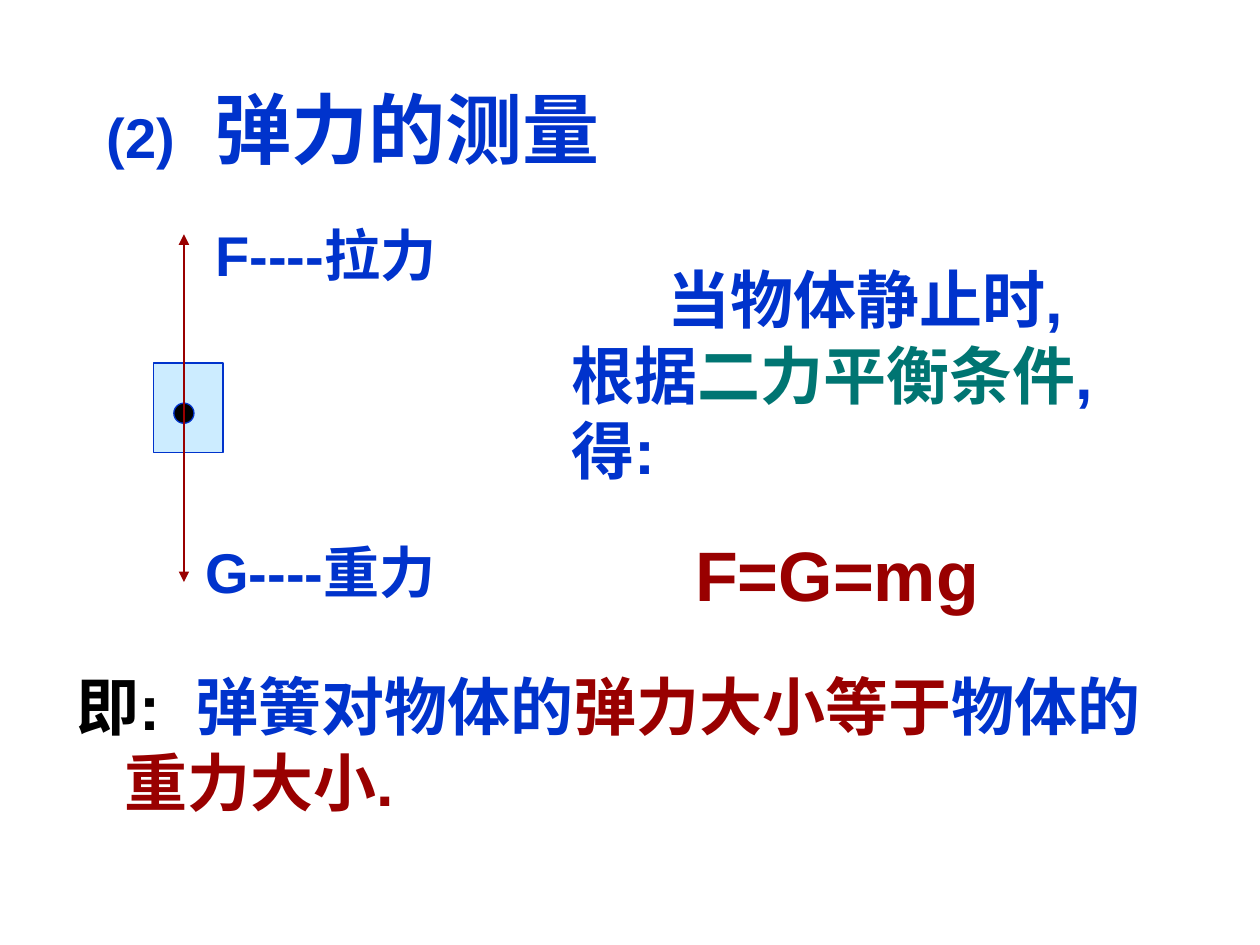
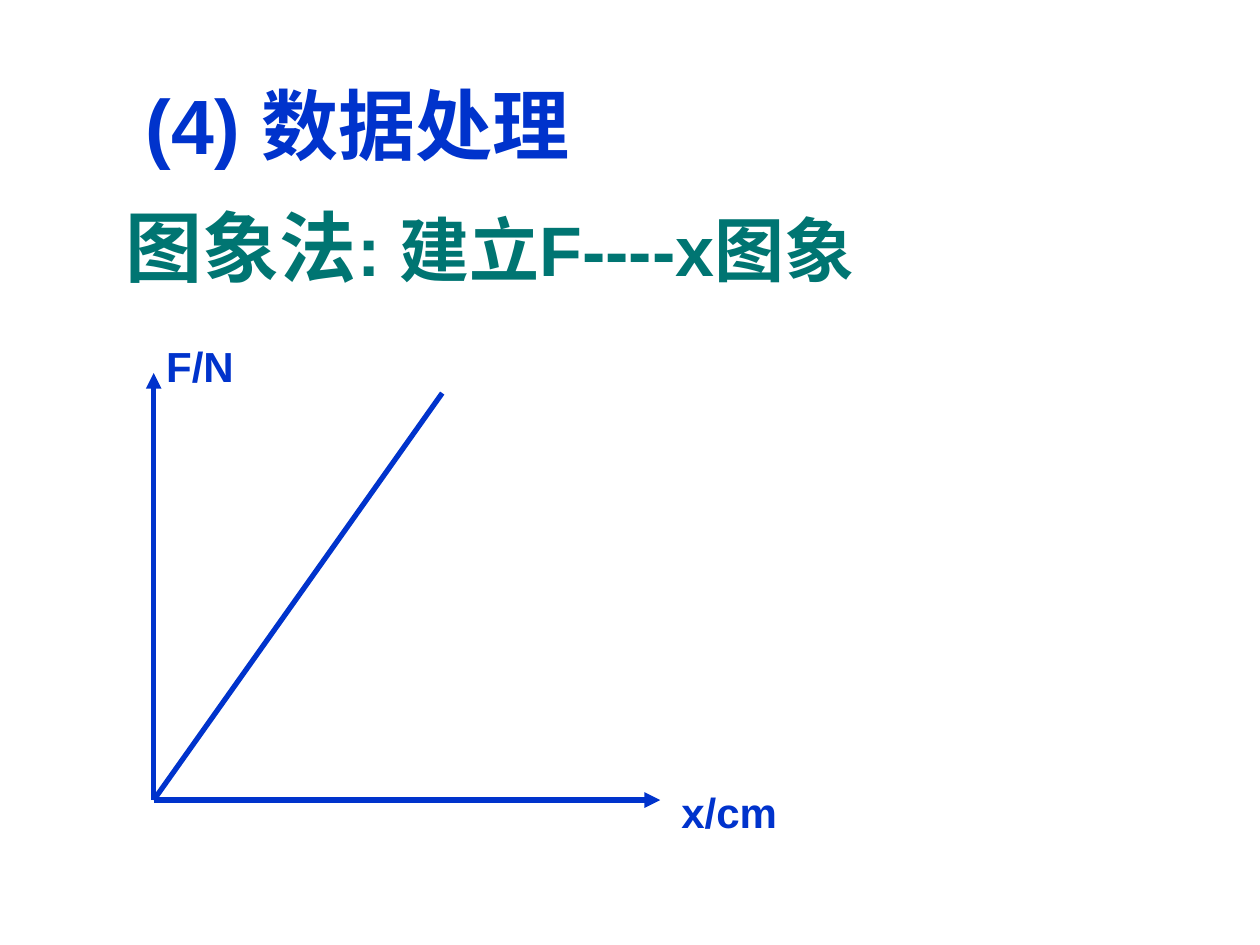
"""Build two slides on measuring elastic force."""
from typing import NamedTuple

from lxml.etree import SubElement
from pptx import Presentation
from pptx.dml.color import RGBColor
from pptx.enum.shapes import MSO_CONNECTOR, MSO_SHAPE
from pptx.enum.text import MSO_ANCHOR
from pptx.oxml.ns import qn
from pptx.slide import Slide
from pptx.util import Pt

PX = 9144
FONT = "Arial"
BLUE = RGBColor(0x00, 0x33, 0xCC)
RED = RGBColor(0x99, 0x00, 0x00)
TEAL = RGBColor(0x00, 0x75, 0x72)
PALE = RGBColor(0xCC, 0xEC, 0xFF)
BLACK = RGBColor(0x00, 0x00, 0x00)
HEAD, LEAD, BODY, NOTE, MARK = 44, 40, 36, 32, 24
HANG = 38


class Box(NamedTuple):
    """A place on the slide in px."""
    left: int
    top: int
    width: int
    height: int


class Bit(NamedTuple):
    """A run of text; gap widens its letters in points."""
    text: str
    size: int
    color: RGBColor = BLUE
    gap: int = 0


class Para(NamedTuple):
    """A paragraph with its indents in px and space before in points."""
    bits: list[Bit]
    margin: int = 0
    indent: int = 0
    before: int = 0
    pitch: float = 1.0


class Label(NamedTuple):
    """A text box."""
    box: Box
    paras: list[Para]
    anchor: MSO_ANCHOR = MSO_ANCHOR.TOP


class Form(NamedTuple):
    """A filled preset shape."""
    kind: MSO_SHAPE
    box: Box
    fill: RGBColor


class Line(NamedTuple):
    """A straight line, with or without an arrowhead at its end."""
    start: tuple[int, int]
    end: tuple[int, int]
    color: RGBColor
    weight: float
    arrow: bool = True


def plain(box: Box, text: str, size: int) -> Label:
    """Return a label of one blue run."""
    return Label(box, [Para([Bit(text, size)])])


def add_label(slide: Slide, label: Label) -> None:
    """Draw a text box run by run."""
    frame = slide.shapes.add_textbox(*(n * PX for n in label.box)).text_frame
    frame.word_wrap = True
    frame.vertical_anchor = label.anchor
    for order, para in enumerate(label.paras):
        block = frame.add_paragraph() if order else frame.paragraphs[0]
        block.space_before = Pt(para.before)
        block.line_spacing = para.pitch
        props = block._p.get_or_add_pPr()
        props.set("marL", str(para.margin * PX))
        props.set("indent", str(para.indent * PX))
        for bit in para.bits:
            run = block.add_run()
            run.text = bit.text
            run.font.name = FONT
            run.font.size = Pt(bit.size)
            run.font.bold = True
            run.font.color.rgb = bit.color
            style = run._r.get_or_add_rPr()
            style.set("lang", "zh-CN")
            if bit.gap:
                style.set("spc", str(bit.gap * 100))


def add_form(slide: Slide, form: Form) -> None:
    """Draw a preset shape with a thin blue edge."""
    shape = slide.shapes.add_shape(form.kind, *(n * PX for n in form.box))
    shape.shadow.inherit = False
    shape.fill.solid()
    shape.fill.fore_color.rgb = form.fill
    shape.line.color.rgb = BLUE
    shape.line.width = Pt(0.75)


def add_line(slide: Slide, line: Line) -> None:
    """Draw a straight line."""
    ends = (n * PX for n in line.start + line.end)
    shape = slide.shapes.add_connector(MSO_CONNECTOR.STRAIGHT, *ends)
    shape.line.color.rgb = line.color
    shape.line.width = Pt(line.weight)
    if line.arrow:
        SubElement(shape.line._get_or_add_ln(), qn("a:tailEnd"), type="triangle")
    SubElement(shape._element.spPr, qn("a:effectLst"))


def draw_force(slide: Slide) -> None:
    """Draw the balance of pull and weight."""
    balance = [
        Para([Bit("当物体静止时, 根据", BODY), Bit("二力平衡条件", BODY, TEAL),
              Bit(", 得:", BODY)], HANG, 76),
        Para([Bit("F=G=mg", LEAD, RED)], 136, 0, 25),
    ]
    result = Para([
        Bit("即:", BODY, BLACK), Bit(" ", BODY, BLACK, 10),
        Bit("弹簧对物体的", BODY), Bit("弹力大小等于", BODY, RED),
        Bit("物体的", BODY), Bit(" ", BODY, BLUE, 10),
        Bit("重力大小.", BODY, RED),
    ], HANG, -HANG)
    title = Para([Bit("(2)", NOTE), Bit(" ", LEAD, BLUE, 11),
                  Bit("弹力的测量", HEAD)])
    for label in (
        plain(Box(161, 170, 220, 64), "F----拉力", NOTE),
        plain(Box(153, 422, 221, 64), "G----重力", NOTE),
        Label(Box(51, 525, 882, 130), [result]),
        Label(Box(406, 202, 498, 292), balance),
        Label(Box(75, 60, 480, 84), [title]),
    ):
        add_label(slide, label)
    add_form(slide, Form(MSO_SHAPE.RECTANGLE, Box(122, 288, 55, 71), PALE))
    add_form(slide, Form(MSO_SHAPE.FLOWCHART_CONNECTOR,
                         Box(138, 320, 16, 16), BLACK))
    for tip in (462, 186):
        add_line(slide, Line((146, 312), (146, tip), RED, 0.75))


def draw_graph(slide: Slide) -> None:
    """Draw the graph of force against stretch."""
    title = Para([Bit("(4) 数据处理", HEAD)])
    method = Para([Bit("图象法", HEAD, TEAL),
                   Bit(": 建立F----x图象", LEAD, TEAL)], HANG, -HANG, 0, 0.9)
    add_label(slide, Label(Box(106, 36, 396, 125), [title], MSO_ANCHOR.MIDDLE))
    add_label(slide, Label(Box(90, 162, 772, 79), [method]))
    zero = (122, 635)
    for end, arrow in (((122, 296), True), ((524, 635), True),
                       ((351, 312), False)):
        add_line(slide, Line(zero, end, BLUE, 3, arrow))
    add_label(slide, plain(Box(531, 619, 126, 50), "x/cm", MARK))
    add_label(slide, plain(Box(122, 265, 79, 50), "F/N", MARK))


def main() -> None:
    """Build and save the deck."""
    deck = Presentation()
    deck.slide_width, deck.slide_height = 1000 * PX, 750 * PX
    for draw in (draw_force, draw_graph):
        draw(deck.slides.add_slide(deck.slide_layouts[6]))
    deck.save("out.pptx")


if __name__ == "__main__":
    main()
